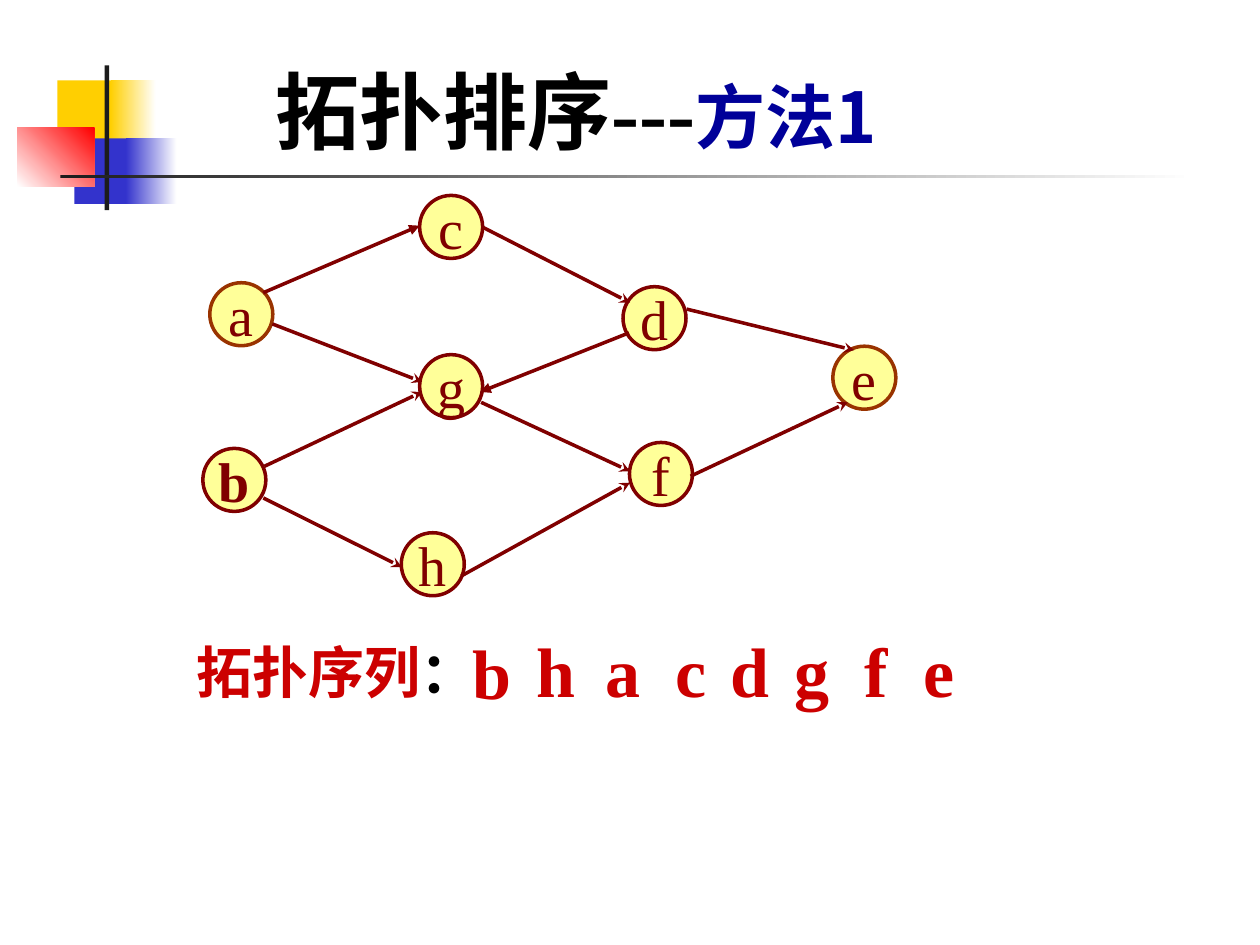
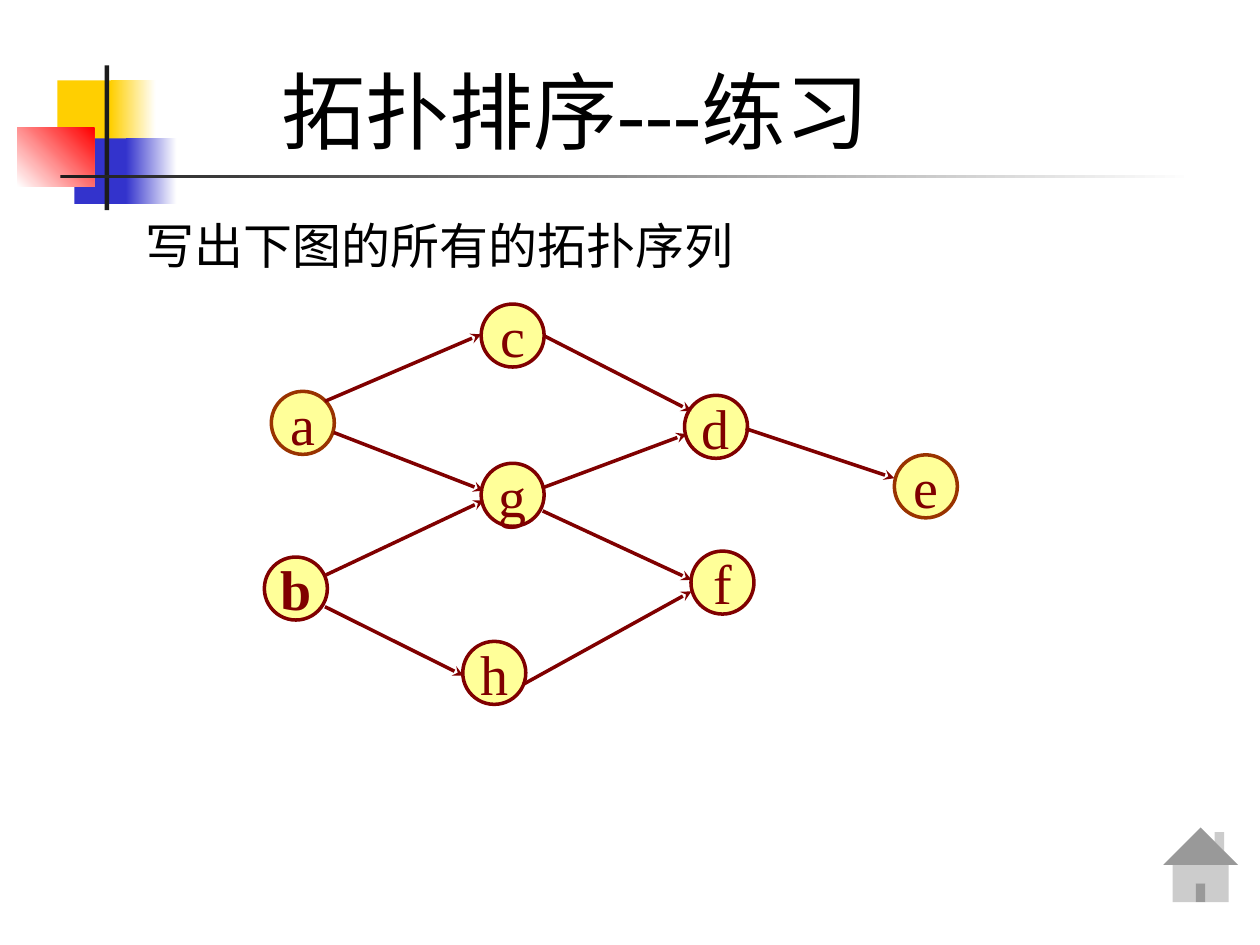
from lxml import etree
from pptx import Presentation
from pptx.dml.color import RGBColor
from pptx.enum.shapes import MSO_CONNECTOR, MSO_SHAPE
from pptx.enum.text import MSO_ANCHOR, MSO_AUTO_SIZE, PP_ALIGN
from pptx.oxml.ns import qn
from pptx.util import Cm, Pt

RECT, OVAL, HOME = MSO_SHAPE.RECTANGLE, MSO_SHAPE.OVAL, MSO_SHAPE.ACTION_BUTTON_HOME
LINE = MSO_CONNECTOR.STRAIGHT
MIDDLE, CENTER = MSO_ANCHOR.MIDDLE, PP_ALIGN.CENTER
GROW = MSO_AUTO_SIZE.SHAPE_TO_FIT_TEXT

COLORS = {
    "white": "FFFFFF", "black": "000000", "ink": "1C1C1C", "gold": "FFCF01",
    "blue": "3333CC", "red": "FF0000", "navy": "000099", "cream": "FFFF99",
    "brown": "993300", "maroon": "800000", "crimson": "CC0000",
}
SERIF, SANS, HAN = "Times New Roman", "Lato", "Noto Sans CJK SC"

# Node places within the graph box, in cm
NODES = {
    "a": (0.14, 1.76), "c": (4.37, 0), "g": (4.37, 3.21), "b": (0, 5.1),
    "d": (8.47, 1.84), "h": (4, 6.8), "f": (8.6, 4.98), "e": (12.7, 3.04),
}
NODE_SIZE = 1.27
ENDS = "ae"  # nodes with a brown rim

# Edges within the graph box: start x, y, end x, y
EDGES = {
    "ac": (1.22, 1.96, 4.37, 0.61), "ag": (1.4, 2.59, 4.42, 3.76),
    "cd": (5.64, 0.64, 8.61, 2.16), "gf": (5.61, 4.17, 8.61, 5.56),
    "bh": (1.22, 6.1, 4.01, 7.49), "bg": (1.24, 5.46, 4.42, 3.96),
    "hf": (5.21, 7.67, 8.61, 5.79),
}
METHOD_EDGES = EDGES | {
    "dg": (8.59, 2.77, 5.59, 3.96), "de": (9.75, 2.29, 13.13, 3.12),
    "fe": (9.83, 5.66, 13, 4.17),
}
DRILL_EDGES = EDGES | {
    "gd": (5.59, 3.71, 8.51, 2.62), "de": (9.7, 2.51, 12.7, 3.51),
}


def rgb(name):
    return RGBColor.from_string(COLORS[name])


def add_run(para, text, size, color, font=SERIF, bold=False):
    run = para.add_run()
    run.text = text
    face = run.font
    face.size, face.bold, face.name = Pt(size), bold, font
    face.color.rgb = rgb(color)
    etree.SubElement(run._r.get_or_add_rPr(), qn("a:ea"), typeface=SANS)


def add_text(slide, box, runs, wrap=False, align=None):
    frame = slide.shapes.add_textbox(*map(Cm, box)).text_frame
    frame.word_wrap, frame.auto_size = wrap, GROW
    para = frame.paragraphs[0]
    para.alignment = align
    for run in runs:
        add_run(para, *run)


def add_part(slide, kind, box, fill):
    """Add a preset shape without line or shadow; a pair of colours fades."""
    part = slide.shapes.add_shape(kind, *map(Cm, box))
    part.shadow.inherit = False
    part.line.fill.background()
    if isinstance(fill, tuple):
        part.fill.gradient()
        part.fill.gradient_angle = 0
        for stop, color in zip(part.fill.gradient_stops, fill):
            stop.color.rgb = rgb(color)
    else:
        part.fill.solid()
        part.fill.fore_color.rgb = rgb(fill)
    return part


def add_motif(slide, left, top):
    """Colour blocks and cross lines beside the title."""
    add_part(slide, RECT, (left + 0.81, top + 0.3, 1.22, 1.32), "gold")
    add_part(slide, RECT, (left + 1.88, top + 0.3, 0.91, 1.32), ("gold", "white"))
    add_part(slide, RECT, (left + 1.15, top + 1.47, 1.17, 1.32), "blue")
    add_part(slide, RECT, (left + 2.19, top + 1.47, 1.02, 1.32), ("blue", "white"))
    glow = add_part(slide, RECT, (left, top + 1.26, 1.55, 1.18), ("white", "red"))
    glow.fill.gradient_angle = 45
    add_part(slide, RECT, (left + 1.76, top, 0.09, 2.92), "ink")
    add_part(slide, RECT, (left + 0.87, top + 2.2, 22.86, 0.08), ("ink", "white"))


def add_node(slide, name, left, top):
    node = add_part(slide, OVAL, (left, top, NODE_SIZE, NODE_SIZE), "cream")
    node.line.color.rgb = rgb("brown" if name in ENDS else "maroon")
    node.line.width = Pt(2)
    frame = node.text_frame
    frame.word_wrap, frame.vertical_anchor = False, MIDDLE
    para = frame.paragraphs[0]
    para.alignment = CENTER
    add_run(para, name, 32, "maroon", SERIF, name == "b")


def add_edge(slide, ends, head):
    edge = slide.shapes.add_connector(LINE, *map(Cm, ends))
    edge.line.color.rgb = rgb("maroon")
    edge.line.width = Pt(2)
    etree.SubElement(edge.line._get_or_add_ln(), qn("a:tailEnd"), type=head)
    etree.SubElement(edge._element.spPr, qn("a:effectLst"))


def add_graph(slide, left, top, edges, solid=()):
    """Nodes and arrows; edges named in solid get a triangle head."""
    for name, (x, y) in NODES.items():
        add_node(slide, name, left + x, top + y)
    for name, (x1, y1, x2, y2) in edges.items():
        ends = (left + x1, top + y1, left + x2, top + y2)
        add_edge(slide, ends, "triangle" if name in solid else "stealth")


def add_order(slide, left, top):
    """Label and letters of the sorted sequence."""
    steps = zip("bhacdgfe", (5.56, 6.86, 8.25, 9.65, 10.77, 12.06, 13.46, 14.65))
    for name, x in steps:
        drop = 0.05 if name == "b" else 0
        box = (left + x, top + drop, 1.25, 1.96)
        add_text(slide, box, [(name, 40, "crimson", SERIF, True)])
    add_text(slide, (left, top + 0.2, 6.15, 1.63), [
        ("拓扑序列", 32, "crimson", SERIF, True),
        ("：", 32, "black", SANS, True)])


def start_slide(deck, title):
    slide = deck.slides.add_slide(deck.slide_layouts[6])
    add_motif(slide, 0.35, 1.32)
    add_text(slide, (3.31, 1.07, 16.6, 2.29), title, True, CENTER)
    return slide


def add_method(deck):
    slide = start_slide(deck, [
        ("拓扑排序---", 48, "black", SERIF, True),
        ("方法1", 40, "navy", HAN, True)])
    add_graph(slide, 4.09, 3.94, METHOD_EDGES, ("ac", "dg"))
    add_order(slide, 3.71, 12.52)


def add_drill(deck):
    slide = start_slide(deck, [
        ("拓扑排序---", 48, "black"), ("练习", 48, "black", HAN)])
    add_graph(slide, 5.33, 6.13, DRILL_EDGES)
    add_text(slide, (2.69, 4.22, 15.6, 1.45),
             [("写出下图的所有的拓扑序列", 28, "black", SANS)], True)
    add_part(slide, HOME, (23.01, 16.43, 2.39, 2.01), "white")


def main():
    deck = Presentation()
    deck.slide_width, deck.slide_height = Cm(25.4), Cm(19.05)
    add_method(deck)
    add_drill(deck)
    deck.save("out.pptx")


if __name__ == "__main__":
    main()
